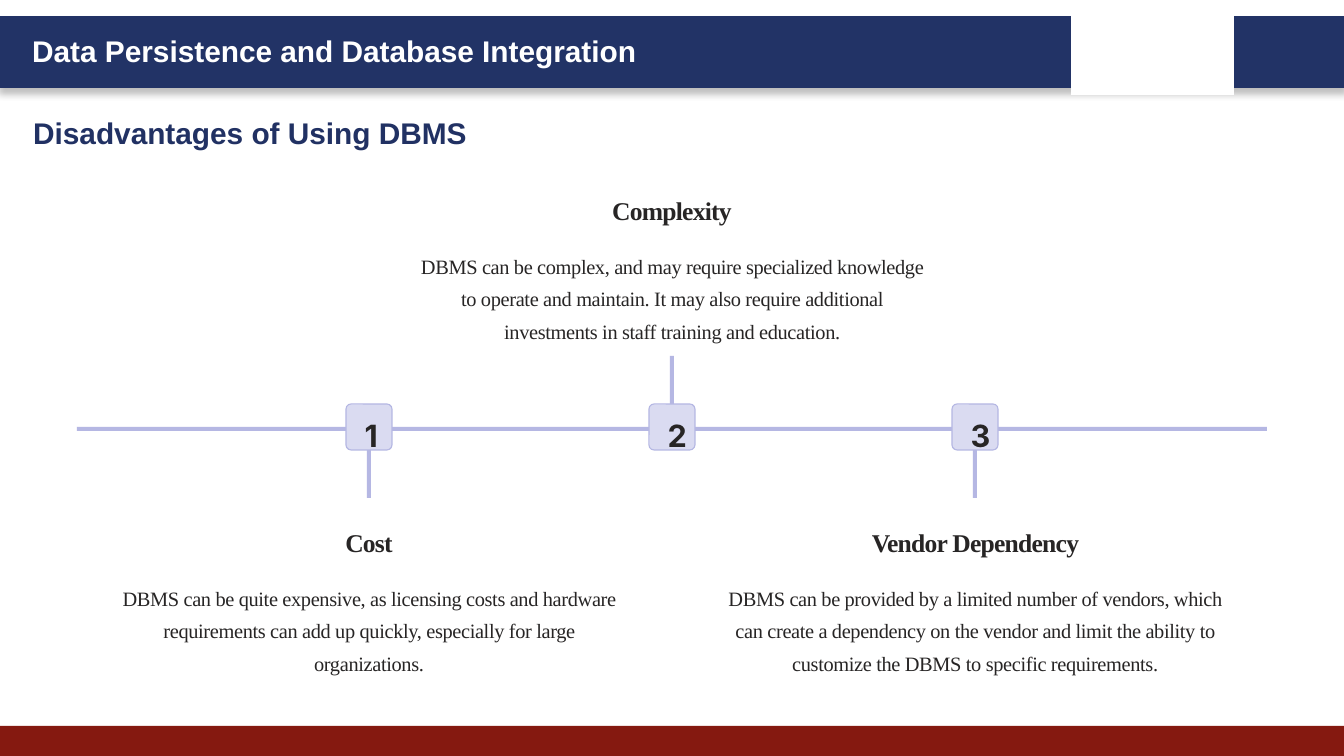
from dataclasses import dataclass

import lxml.etree
import pptx
import pptx.dml.color
import pptx.enum.shapes
import pptx.enum.text
import pptx.oxml
import pptx.oxml.ns
import pptx.util

RGB = pptx.dml.color.RGBColor
SHAPE = pptx.enum.shapes.MSO_SHAPE
ALIGN = pptx.enum.text.PP_ALIGN

NAVY = RGB(0x22, 0x33, 0x66)
TITLE_NAVY = RGB(0x21, 0x31, 0x63)
RED = RGB(0x85, 0x19, 0x10)
WHITE = RGB(0xFF, 0xFF, 0xFF)
LILAC = RGB(0xB5, 0xB7, 0xE3)
PALE_LILAC = RGB(0xDA, 0xDB, 0xF1)
INK = RGB(0x27, 0x25, 0x25)

EMU_PER_PX = 914400 / 134.4
AXIS_Y = 427
FIRST_X = 369
STEP_X = 303
STEM_H = 71
BADGE = 46
BODY_W = 544


@dataclass(frozen=True)
class Box:
    x: int
    y: int
    w: int
    h: int

    def emu(self) -> list[pptx.util.Emu]:
        return [px(v) for v in (self.x, self.y, self.w, self.h)]


@dataclass(frozen=True)
class Style:
    font: str
    size: float
    color: RGB
    bold: bool = True
    spacing: int = 0
    line: float | None = None
    align: ALIGN = ALIGN.LEFT


@dataclass(frozen=True)
class Drawback:
    heading: str
    body: str
    heading_w: int
    above: bool = False


HEADER = Style("Arial", 16, WHITE)
TITLE = Style("Arial", 16, TITLE_NAVY)
NUMBER = Style("Inter", 16.4, INK, True, -20, 20.5, ALIGN.CENTER)
HEADING = Style("Times New Roman", 13.7, INK, True, -40, 17.1, ALIGN.CENTER)
BODY = Style("Times New Roman", 10.9, INK, False, -20, 17.5, ALIGN.CENTER)

DRAWBACKS = [
    Drawback("Cost",
             "DBMS can be quite expensive, as licensing costs and hardware requirements "
             "can add up quickly, especially for large organizations.", 204),
    Drawback("Complexity",
             "DBMS can be complex, and may require specialized knowledge to operate and "
             "maintain. It may also require additional investments in staff training and "
             "education.", 204, True),
    Drawback("Vendor Dependency",
             "DBMS can be provided by a limited number of vendors, which can create a "
             "dependency on the vendor and limit the ability to customize the DBMS to "
             "specific requirements.", 239),
]


def px(n: int) -> pptx.util.Emu:
    return pptx.util.Emu(round(n * EMU_PER_PX))


def add_block(s, box: Box, fill: RGB, line: RGB | None = None,
              width: float = 0, kind: SHAPE = SHAPE.RECTANGLE):
    sp = s.shapes.add_shape(kind, *box.emu())
    sp.shadow.inherit = False
    sp.fill.solid()
    sp.fill.fore_color.rgb = fill
    if line is None:
        sp.line.fill.background()
    else:
        sp.line.color.rgb = line
        sp.line.width = pptx.util.Pt(width)
    return sp


def add_text(s, box: Box, text: str, style: Style, wrap: bool = False):
    sp = s.shapes.add_textbox(*box.emu())
    tf = sp.text_frame
    tf.word_wrap = wrap
    p = tf.paragraphs[0]
    p.alignment = style.align
    if style.line:
        p.line_spacing = pptx.util.Pt(style.line)
    r = p.add_run()
    r.text = text
    r.font.name = style.font
    r.font.size = pptx.util.Pt(style.size)
    r.font.bold = style.bold
    r.font.color.rgb = style.color
    if style.spacing:
        r.font._element.set("spc", str(style.spacing))
    return sp


def add_drop_shadow(sp) -> None:
    effects = sp._element.spPr.find(pptx.oxml.ns.qn("a:effectLst"))
    effects.append(pptx.oxml.parse_xml(
        f'<a:outerShdw {pptx.oxml.ns.nsdecls("a")} blurRad="50800" dist="38100" '
        'dir="5400000" algn="t" rotWithShape="0"><a:srgbClr val="000000">'
        '<a:alpha val="25000"/></a:srgbClr></a:outerShdw>'))


def add_frame(s) -> None:
    add_drop_shadow(add_block(s, Box(0, 18, 1344, 68), NAVY, NAVY, 2))
    add_block(s, Box(0, 726, 1344, 30), RED)
    add_text(s, Box(19, 26, 638, 50), "Data Persistence and Database Integration", HEADER)
    add_block(s, Box(1071, 9, 163, 86), WHITE)
    sp = add_text(s, Box(20, 101, 474, 47), "Disadvantages of Using DBMS", TITLE, True)
    sp.text_frame.margin_top = sp.text_frame.margin_bottom = pptx.util.Inches(0.1)


def add_drawback(s, index: int, item: Drawback) -> None:
    cx = FIRST_X + index * STEP_X
    stem_y = AXIS_Y - STEM_H if item.above else AXIS_Y
    top = 187 if item.above else 519
    add_block(s, Box(cx - 2, stem_y, 4, STEM_H), LILAC)
    badge = add_block(s, Box(cx - BADGE // 2, 404, BADGE, BADGE), PALE_LILAC,
                      LILAC, 0.6, SHAPE.ROUNDED_RECTANGLE)
    badge.adjustments[0] = 0.11
    add_text(s, Box(cx - 9, 409, 18, 38), str(index + 1), NUMBER)
    add_text(s, Box(cx - item.heading_w // 2, top, item.heading_w, 32), item.heading, HEADING)
    add_text(s, Box(cx - BODY_W // 2, top + 52, BODY_W, 97), item.body, BODY, True)


def main() -> None:
    prs = pptx.Presentation()
    prs.slide_width, prs.slide_height = px(1344), px(756)
    s = prs.slides.add_slide(prs.slide_layouts[6])
    add_frame(s)
    add_block(s, Box(77, AXIS_Y, 1190, 4), LILAC)
    for index, item in enumerate(DRAWBACKS):
        add_drawback(s, index, item)
    prs.save("out.pptx")


if __name__ == "__main__":
    main()
